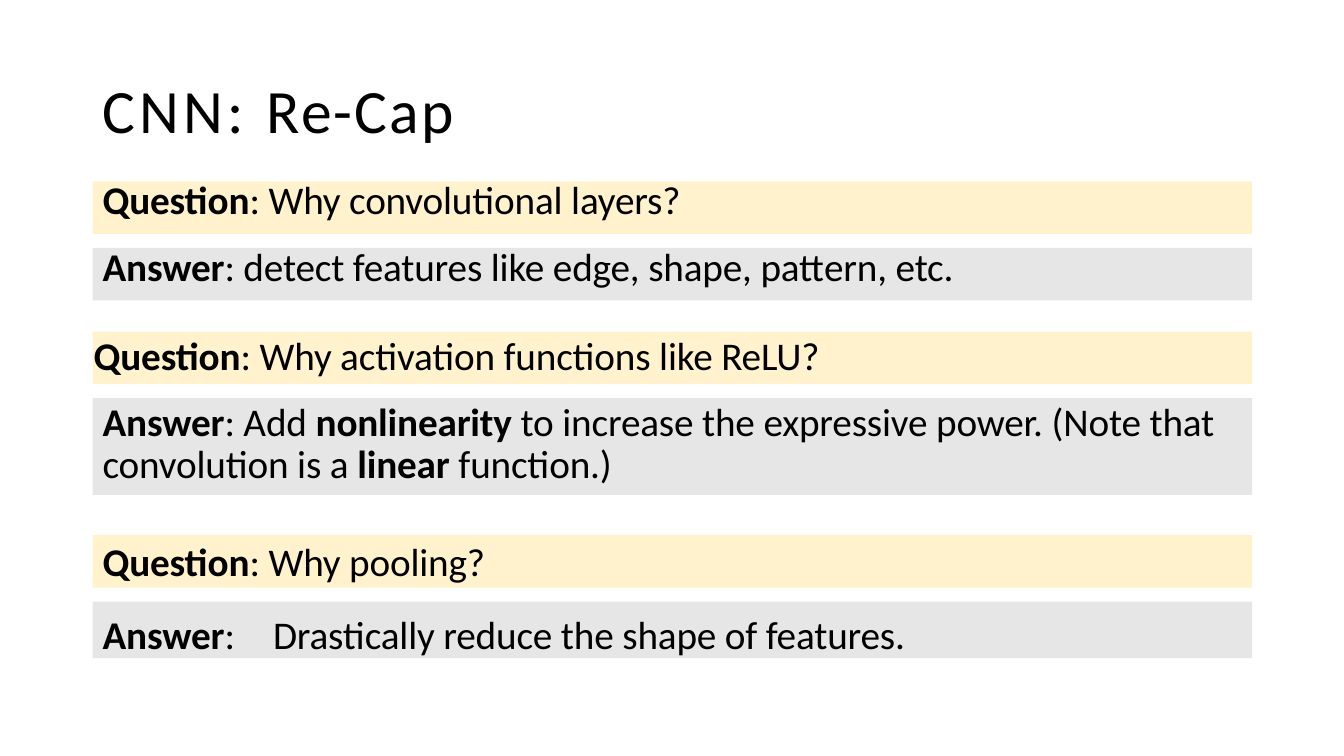
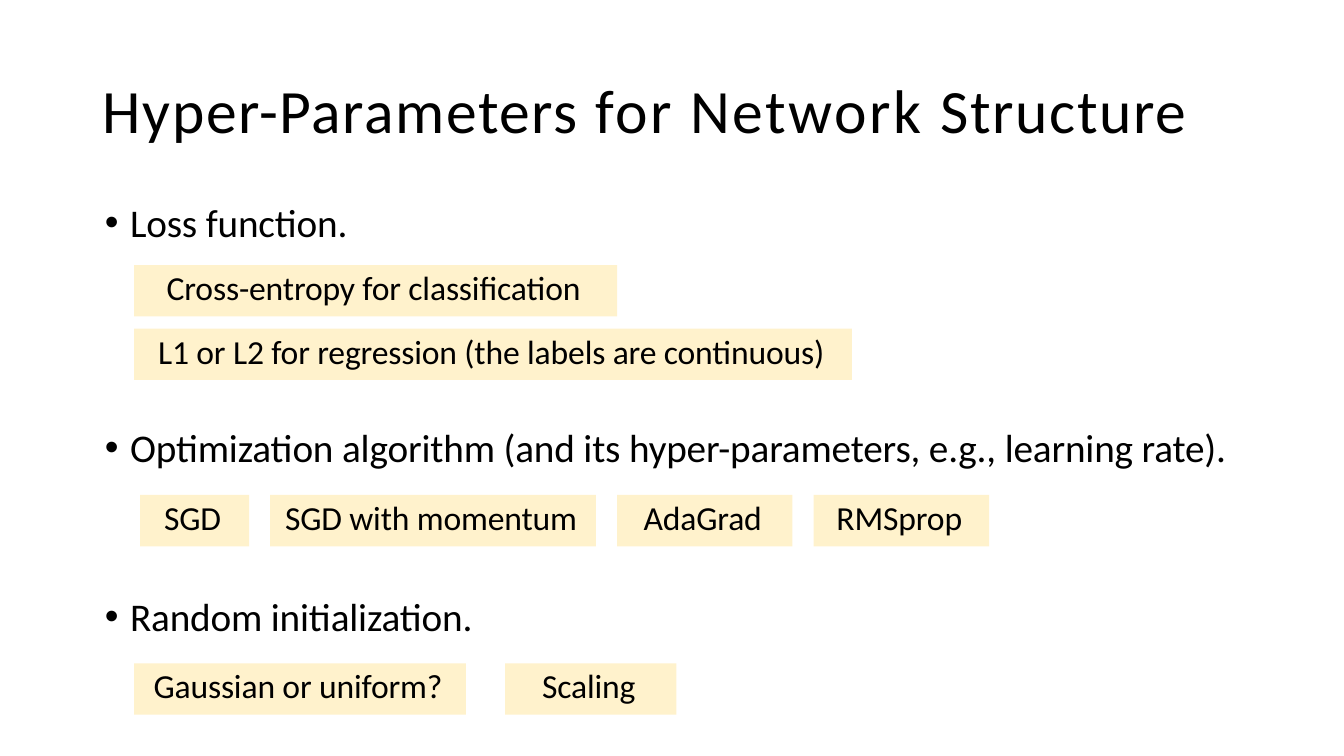
from lxml import etree
from pptx import Presentation
from pptx.dml.color import RGBColor
from pptx.enum.shapes import MSO_SHAPE
from pptx.enum.text import MSO_ANCHOR, MSO_AUTO_SIZE, PP_ALIGN
from pptx.oxml.ns import qn
from pptx.util import Emu, Pt

RECTANGLE = MSO_SHAPE.RECTANGLE
TOP, MIDDLE = MSO_ANCHOR.TOP, MSO_ANCHOR.MIDDLE
NO_FIT = MSO_AUTO_SIZE.NONE
LEFT, CENTER = PP_ALIGN.LEFT, PP_ALIGN.CENTER

FONT = "Calibri"
INK, CREAM, GRAY = "000000", "FFF2CC", "E7E6E6"
PAGE_SIZE = (1333, 750)
TITLE_BOX = (92, 40, 1150, 145)
TITLE_SIZE, BODY_SIZE, CHIP_SIZE = 44, 28, 24
BODY_TRACKING = -0.1
BAND_LEFT, BAND_WIDTH = 92, 1150
TITLE_ONLY, TITLE_AND_BODY = 5, 1


def px(length):
    return Emu(length * 9144)


def color(value):
    return RGBColor.from_string(value)


def place(shape, box):
    shape.left, shape.top, shape.width, shape.height = map(px, box)


def set_frame(frame, insets, anchor=TOP):
    frame.word_wrap = True
    frame.auto_size = NO_FIT
    frame.vertical_anchor = anchor
    frame.margin_left, frame.margin_top, frame.margin_right, frame.margin_bottom = map(px, insets)


def style_para(para, size, align=LEFT, before=0):
    para.alignment = align
    para.space_before = Pt(before)
    para.font.name = FONT
    para.font.size = Pt(size)
    para.font.color.rgb = color(INK)


def add_span(para, text, tracking, bold=False):
    span = para.add_run()
    span.text = text
    if bold:
        span.font.bold = True
    span.font._element.set("spc", str(round(tracking * 100)))


def add_marked_text(para, text):
    for index, part in enumerate(text.split("*")):
        if part:
            add_span(para, part, BODY_TRACKING, index % 2 == 1)


def add_bullet(para):
    properties = para._p.get_or_add_pPr()
    properties.set("marL", str(px(26)))
    properties.set("indent", str(-px(25)))
    etree.SubElement(properties, qn("a:buChar")).set("char", "•")


def add_tab_stop(para, position):
    stops = etree.SubElement(para._p.get_or_add_pPr(), qn("a:tabLst"))
    stop = etree.SubElement(stops, qn("a:tab"))
    stop.set("pos", str(px(position)))
    stop.set("algn", "l")


def add_page(deck, layout, title_spans):
    page = deck.slides.add_slide(deck.slide_layouts[layout])
    title = page.shapes.title
    place(title, TITLE_BOX)
    set_frame(title.text_frame, (10, 5, 10, 5), MIDDLE)
    para = title.text_frame.paragraphs[0]
    style_para(para, TITLE_SIZE)
    para.line_spacing = 0.9
    for text, tracking in title_spans:
        add_span(para, text, tracking)
    return page


def add_band(page, box, fill):
    band = page.shapes.add_shape(RECTANGLE, *map(px, box))
    band.shadow.inherit = False
    band.fill.solid()
    band.fill.fore_color.rgb = color(fill)
    band.line.fill.background()
    return band


def add_pair_bands(page, top, question_height, answer_height):
    answer_top = top + question_height + 14
    question = add_band(page, (BAND_LEFT, top, BAND_WIDTH, question_height), CREAM)
    answer = add_band(page, (BAND_LEFT, answer_top, BAND_WIDTH, answer_height), GRAY)
    return question, answer


def add_overlaid_pair(page, top, answer_height, text_top, gap, texts):
    add_pair_bands(page, top, 52, answer_height)
    box = page.shapes.add_textbox(*map(px, (BAND_LEFT, text_top, BAND_WIDTH, 120)))
    frame = box.text_frame
    set_frame(frame, (10, 0, 0, 0))
    for index, text in enumerate(texts):
        para = frame.add_paragraph() if index else frame.paragraphs[0]
        if "\t" in text:
            add_tab_stop(para, 169)
        style_para(para, BODY_SIZE, before=gap if index else 0)
        add_marked_text(para, text)


def add_filled_pair(page, top, answer_height, texts):
    bands = add_pair_bands(page, top, 52, answer_height)
    for band, text, insets in zip(bands, texts, ((1, 0, 0, 0), (10, 4, 0, 0))):
        set_frame(band.text_frame, insets)
        para = band.text_frame.paragraphs[0]
        style_para(para, BODY_SIZE)
        add_marked_text(para, text)
    bands[1].text_frame.paragraphs[0].line_spacing = Pt(30)


def add_bullet_list(page, box, items):
    body = page.placeholders[1]
    place(body, box)
    frame = body.text_frame
    set_frame(frame, (0, 1, 0, 0))
    for index, (text, before) in enumerate(items):
        para = frame.add_paragraph() if index else frame.paragraphs[0]
        add_bullet(para)
        style_para(para, BODY_SIZE, before=before)
        add_span(para, text, BODY_TRACKING)


def add_chip_row(page, left, top, gap, chips):
    for label, width in chips:
        chip = add_band(page, (left, top, width, 51), CREAM)
        set_frame(chip.text_frame, (0, 2, 4, 0))
        para = chip.text_frame.paragraphs[0]
        style_para(para, CHIP_SIZE, CENTER)
        add_span(para, label, BODY_TRACKING)
        left += width + gap


def build_recap(deck):
    page = add_page(deck, TITLE_ONLY, [("CNN: ", 3), ("Re-Cap", 1.5)])
    add_overlaid_pair(page, 180, 52, 174, 14.1, [
        "*Question*: Why convolutional layers?",
        "*Answer*: detect features like edge, shape, pattern, etc.",
    ])
    add_filled_pair(page, 329, 96, [
        "*Question*: Why activation functions like ReLU?",
        "*Answer*: Add *nonlinearity* to increase the expressive power. "
        "(Note that convolution is a *linear* function.)",
    ])
    add_overlaid_pair(page, 531, 56, 533, 18.6, [
        "*Question*: Why pooling?",
        "*Answer*:\tDrastically reduce the shape of features.",
    ])


def build_hyper_parameters(deck):
    page = add_page(deck, TITLE_AND_BODY, [
        ("Hyper-Parameters ", 1.1), ("for ", 1.6), ("Network ", 1.8), ("Structure", 1.1),
    ])
    add_bullet_list(page, (103, 196, 1139, 441), [
        ("Loss function.", 0),
        ("Optimization algorithm (and its hyper-parameters, e.g., learning rate).", 127),
        ("Random initialization.", 87),
    ])
    add_chip_row(page, 133, 263, 0, [("Cross-entropy for classification", 479)])
    add_chip_row(page, 133, 326, 0, [("L1 or L2 for regression (the labels are continuous)", 712)])
    add_chip_row(page, 139, 491, 21, [
        ("SGD", 108), ("SGD with momentum", 323), ("AdaGrad", 174), ("RMSprop", 174),
    ])
    add_chip_row(page, 133, 658, 39, [("Gaussian or uniform?", 329), ("Scaling", 170)])


def main():
    deck = Presentation()
    deck.slide_width, deck.slide_height = map(px, PAGE_SIZE)
    build_recap(deck)
    build_hyper_parameters(deck)
    deck.save("out.pptx")


if __name__ == "__main__":
    main()
